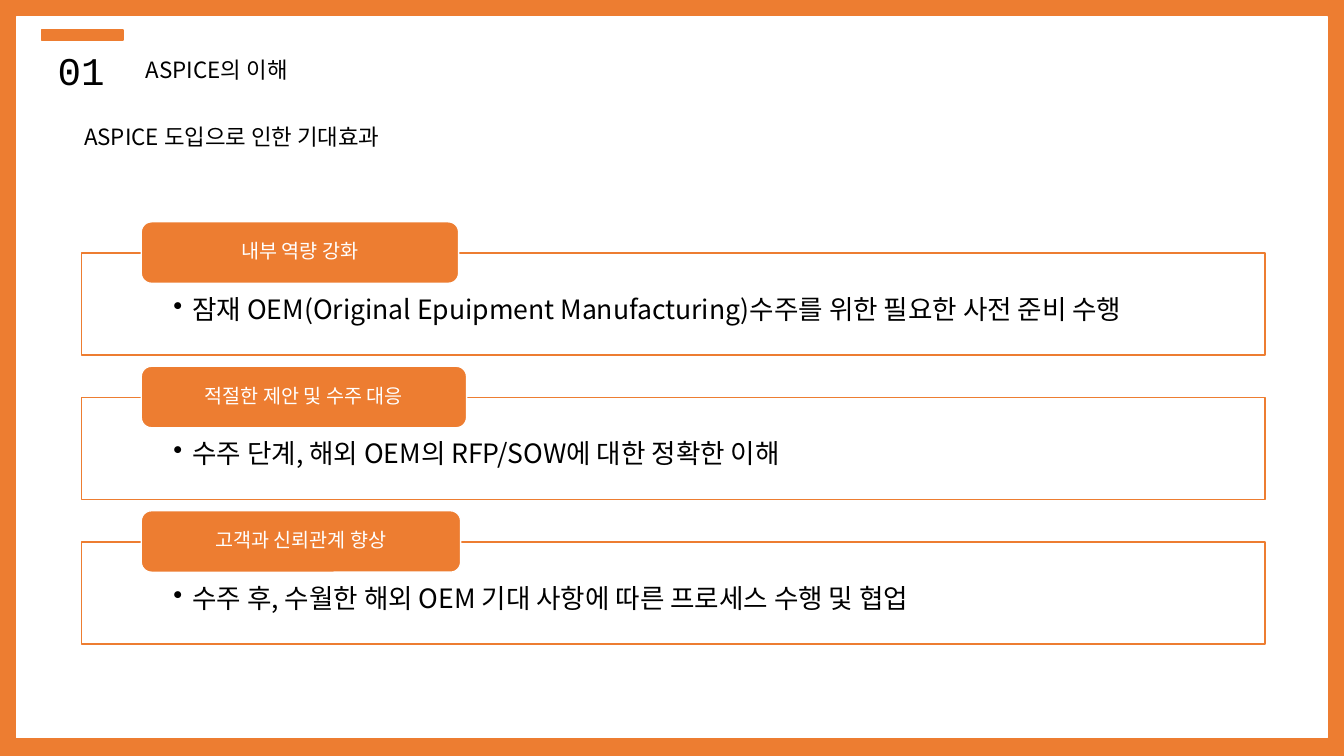
from lxml import etree
from pptx import Presentation
from pptx.dml.color import RGBColor
from pptx.enum.shapes import MSO_SHAPE
from pptx.enum.text import MSO_ANCHOR, MSO_AUTO_SIZE, PP_ALIGN
from pptx.oxml.ns import qn
from pptx.util import Cm, Pt

RECTANGLE, ROUNDED = MSO_SHAPE.RECTANGLE, MSO_SHAPE.ROUNDED_RECTANGLE
TOP, MIDDLE = MSO_ANCHOR.TOP, MSO_ANCHOR.MIDDLE
LEFT, CENTER = PP_ALIGN.LEFT, PP_ALIGN.CENTER
FIT_SHAPE = MSO_AUTO_SIZE.SHAPE_TO_FIT_TEXT

COLORS = {"orange": "ED7D31", "white": "FFFFFF", "black": "000000"}
KOREAN, MONO = "Noto Sans CJK KR", "Courier New"


def add_block(kind, place, fill, line=None):
    block = page.shapes.add_shape(kind, *[Cm(length) for length in place])
    block.shadow.inherit = False
    block.fill.solid()
    block.fill.fore_color.rgb = RGBColor.from_string(COLORS[fill])
    if line:
        block.line.color.rgb = RGBColor.from_string(COLORS[line])
        block.line.width = Pt(1)
    else:
        block.line.fill.background()
    return block


def write(box, text, size, color, font, frame_format, para_format):
    frame = box.text_frame
    for name, value in frame_format.items():
        setattr(frame, name, value)
    para = frame.paragraphs[0]
    for name, value in para_format.items():
        setattr(para, name, value)
    span = para.add_run()
    span.text = text
    span.font.size = Pt(size)
    span.font.name = font
    span.font.color.rgb = RGBColor.from_string(COLORS[color])
    etree.SubElement(span.font._element, qn("a:ea"), typeface=font)
    return para


deck = Presentation()
deck.slide_width, deck.slide_height = Cm(33.87), Cm(19.05)
page = deck.slides.add_slide(deck.slide_layouts[6])

add_block(RECTANGLE, (0, 0, 33.87, 19.05), "orange")
add_block(RECTANGLE, (0.41, 0.43, 33.05, 18.16), "white", "white")
add_block(RECTANGLE, (1.04, 0.76, 2.06, 0.25), "orange", "orange")

headings = [
    ("01", (0.56, 1.04, 2.97, 1.45), 28, MONO),
    ("ASPICE의 이해", (2.06, 1.3, 6.81, 0.94), 16, KOREAN),
    ("ASPICE 도입으로 인한 기대효과", (0.56, 2.97, 10.57, 0.94), 16, KOREAN),
]
heading_frame = {"word_wrap": True, "auto_size": FIT_SHAPE}
for text, place, size, font in headings:
    box = page.shapes.add_textbox(*[Cm(length) for length in place])
    write(box, text, size, "black", font, heading_frame, {"alignment": CENTER})

effects = [
    ("내부 역량 강화", 8.0,
     "잠재 OEM(Original Epuipment Manufacturing)수주를 위한 필요한 사전 준비 수행"),
    ("적절한 제안 및 수주 대응", 8.2,
     "수주 단계, 해외 OEM의 RFP/SOW에 대한 정확한 이해"),
    ("고객과 신뢰관계 향상", 8.05,
     "수주 후, 수월한 해외 OEM 기대 사항에 따른 프로세스 수행 및 협업"),
]
panel_frame = {
    "word_wrap": True, "vertical_anchor": TOP,
    "margin_left": Cm(2.31), "margin_right": Cm(2.31),
    "margin_top": Cm(1.09), "margin_bottom": Cm(0.38),
}
panel_para = {"alignment": LEFT, "level": 1, "line_spacing": 0.9}
tab_frame = {
    "word_wrap": True, "vertical_anchor": MIDDLE,
    "margin_left": Cm(0.79), "margin_right": Cm(0.79),
    "margin_top": 0, "margin_bottom": 0,
}
tab_para = {"alignment": CENTER, "line_spacing": 0.9}
first_top, pitch = 6.38, 3.64

for row, (title, tab_width, detail) in enumerate(effects):
    top = first_top + row * pitch
    panel = add_block(RECTANGLE, (2.06, top, 29.82, 2.57), "white", "orange")
    panel_color = panel.fill._xPr.find(qn("a:solidFill"))[0]
    etree.SubElement(panel_color, qn("a:alpha"), val="90000")
    para = write(panel, detail, 19, "black", KOREAN, panel_frame, panel_para)
    properties = para._p.get_or_add_pPr()
    properties.set("marL", str(Cm(0.48)))
    properties.set("indent", str(-Cm(0.48)))
    etree.SubElement(properties, qn("a:buChar"), char="•")

    tab = add_block(ROUNDED, (3.56, top - 0.79, tab_width, 1.55), "orange", "white")
    write(tab, title, 14, "white", KOREAN, tab_frame, tab_para)

deck.save("out.pptx")
